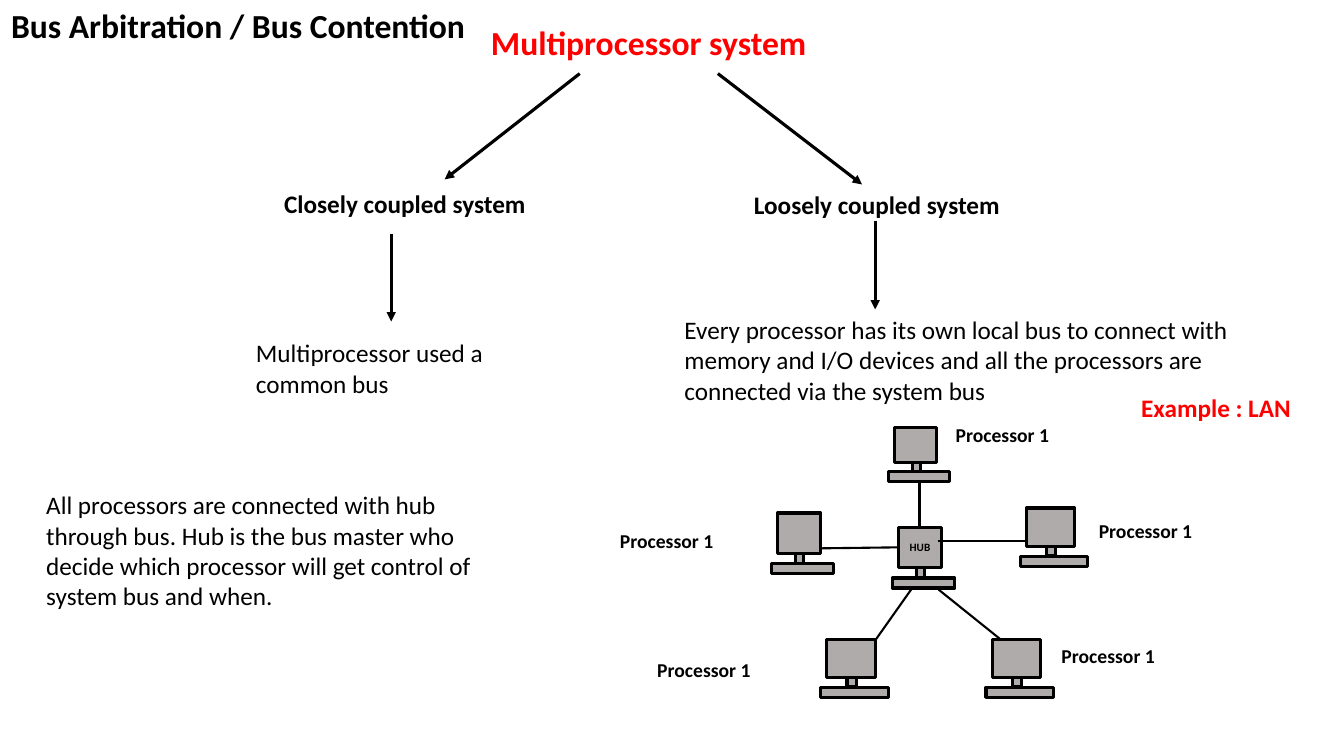
from lxml import etree
from pptx import Presentation
from pptx import util as u
from pptx.dml.color import RGBColor
from pptx.enum import shapes, text
from pptx.oxml.ns import qn

BLACK, RED, GREY = "000000", "FF0000", "AFABAB"
TITLE = {"size": u.Pt(24), "bold": True}
HEADING = {"size": u.Pt(18), "bold": True}
BODY = {"size": u.Pt(18), "bold": False}
LABEL = {"size": u.Pt(14), "bold": True}
HUB = {"size": u.Pt(8), "bold": True}

deck = Presentation()
deck.slide_width, deck.slide_height = u.Inches(13.33), u.Inches(7.5)
page = deck.slides.add_slide(deck.slide_layouts[5])


def color(hex_value):
    return RGBColor.from_string(hex_value)


def write(box, words, font_format, hex_value=BLACK, frame_format=None,
          align=text.PP_ALIGN.LEFT):
    frame = box.text_frame
    frame_values = frame_format or {
        "word_wrap": True,
        "auto_size": text.MSO_AUTO_SIZE.SHAPE_TO_FIT_TEXT,
        "vertical_anchor": text.MSO_ANCHOR.TOP,
    }
    for name, value in frame_values.items():
        setattr(frame, name, value)
    para = frame.paragraphs[0]
    para.alignment = align
    span = para.add_run()
    span.text = words
    for name, value in {"name": "Calibri", **font_format}.items():
        setattr(span.font, name, value)
    span.font.color.rgb = color(hex_value)


# Slide title
title = page.shapes.title
title_place = {"left": 0.01, "top": 0, "width": 5.06, "height": 0.5}
for name, value in title_place.items():
    setattr(title, name, u.Inches(value))
write(title, "Bus Arbitration / Bus Contention", TITLE)

# Computers: a stand, a base and a screen sized from the screen's place
computers = [
    (8.87, 4.24, 0.42, 0.35, ""),
    (7.71, 5.09, 0.43, 0.40, ""),
    (8.20, 6.34, 0.48, 0.38, ""),
    (9.84, 6.34, 0.48, 0.38, ""),
    (10.18, 5.04, 0.48, 0.38, ""),
    (8.91, 5.23, 0.43, 0.40, "HUB"),
]
for left, top, width, height, name in computers:
    parts = [
        (left + 0.42 * width, top + 0.8 * height, 0.19 * width, 0.45 * height),
        (left, top, width, height),
        (left - 0.06, top + 1.26 * height, width + 0.19, 0.1),
    ]
    for place in parts:
        part = page.shapes.add_shape(shapes.MSO_SHAPE.RECTANGLE, *map(u.Inches, place))
        part.shadow.inherit = False
        part.fill.solid()
        part.fill.fore_color.rgb = color(GREY)
        part.line.color.rgb = color(BLACK)
        part.line.width = u.Pt(2.25)
        if name and place == parts[1]:
            write(part, name, HUB, frame_format={
                "word_wrap": False,
                "margin_left": 0,
                "margin_right": 0,
                "vertical_anchor": text.MSO_ANCHOR.MIDDLE,
            }, align=text.PP_ALIGN.CENTER)

# Tree arrows, then plain links to the hub
arrows = [
    (5.75, 0.73, 4.41, 1.78),
    (7.12, 0.73, 8.55, 1.83),
    (3.88, 2.32, 3.88, 3.19),
    (8.68, 2.19, 8.68, 3.07),
]
links = [
    (9.12, 5.23, 9.12, 4.77),
    (8.14, 5.44, 8.91, 5.43),
    (8.69, 6.34, 9.05, 5.83),
    (9.92, 6.34, 9.31, 5.85),
    (9.30, 5.37, 10.18, 5.37),
]
for ends in arrows + links:
    is_arrow = ends in arrows
    line = page.shapes.add_connector(
        shapes.MSO_CONNECTOR.STRAIGHT, *map(u.Inches, ends))
    line.line.color.rgb = color(BLACK)
    line.line.width = u.Pt(2.25 if is_arrow else 1.5)
    if is_arrow:
        etree.SubElement(line.line._get_or_add_ln(), qn("a:tailEnd"), type="triangle")
    etree.SubElement(line._element.spPr, qn("a:effectLst"))

# Tree texts and explanations
texts = [
    (4.77, 0.17, 4.89, 0.5, "Multiprocessor system", TITLE, RED),
    (2.72, 1.82, 3.37, 0.4, "Closely coupled system", HEADING, BLACK),
    (7.38, 1.83, 3.37, 0.4, "Loosely coupled system", HEADING, BLACK),
    (2.44, 3.3, 3.32, 0.71, "Multiprocessor used a common bus", BODY, BLACK),
    (6.69, 3.07, 6.17, 1.01,
     "Every processor has its own local bus to connect with memory and I/O devices "
     "and all the processors are connected via the system bus", BODY, BLACK),
    (11.22, 3.84, 1.82, 0.4, "Example : LAN", HEADING, RED),
    (0.36, 4.81, 4.52, 1.31,
     "All processors are connected with hub through bus. Hub is the bus master who "
     "decide which processor will get control of system bus and when.", BODY, BLACK),
]
# Processor labels
label_places = [(9.38, 4.15), (10.8, 5.1), (10.43, 6.34), (6.42, 6.48), (6.05, 5.2)]
texts += [(left, top, 1.6, 0.34, "Processor 1", LABEL, BLACK)
          for left, top in label_places]
for *place, words, font_format, hex_value in texts:
    box = page.shapes.add_textbox(*map(u.Inches, place))
    write(box, words, font_format, hex_value)

deck.save("out.pptx")
